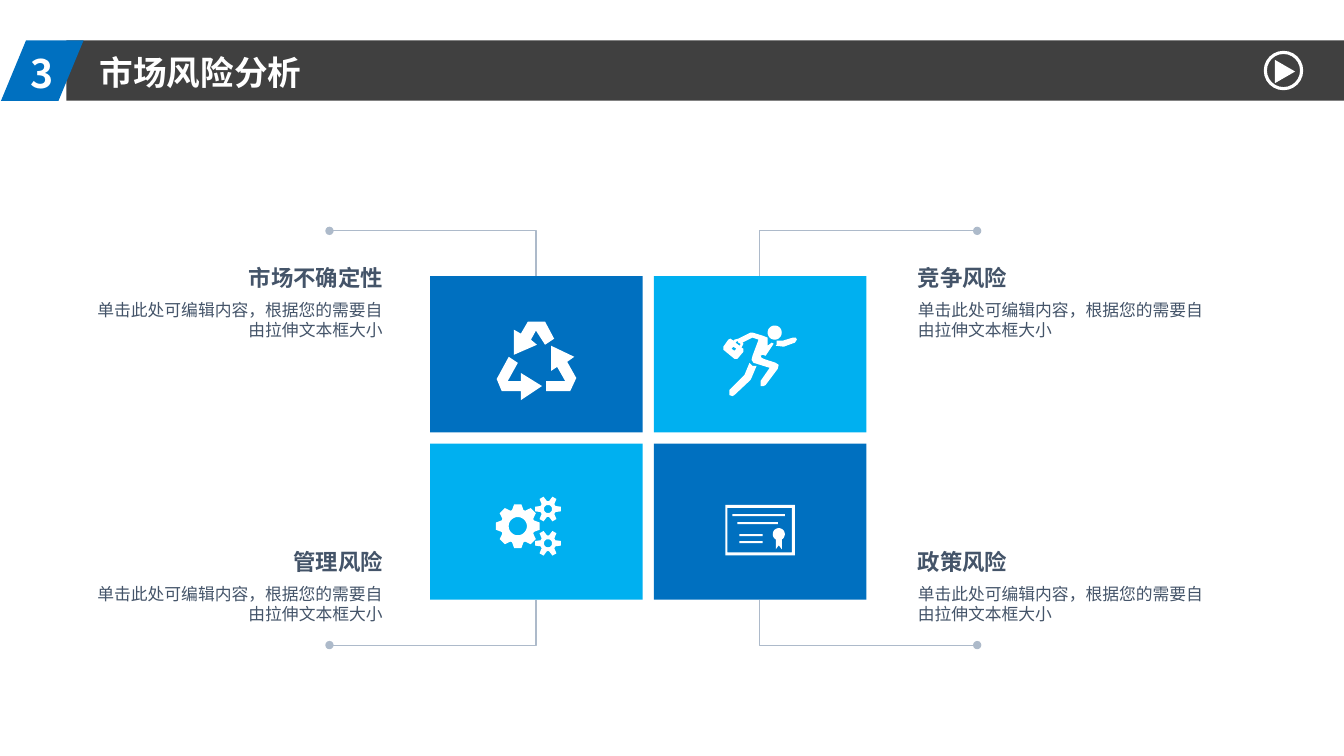
import math
import pptx
import pptx.util
import pptx.dml.color
import pptx.enum.shapes
import pptx.enum.text
import pptx.oxml
import pptx.oxml.ns

Inches = pptx.util.Inches
KIND = pptx.enum.shapes.MSO_SHAPE
ALIGN = pptx.enum.text.PP_ALIGN
WHITE, DARK, BLUE, SKY = "FFFFFF", "404040", "0070C0", "00B0F0"
INK, RULE = "445469", "ADBACA"
SANS = "Noto Sans CJK SC"
BODY = "单击此处可编辑内容，根据您的需要自由拉伸文本框大小"


def paint(form, color):
    form.solid()
    form.fore_color.rgb = pptx.dml.color.RGBColor.from_string(color)


def add_xml(parent, tag, attrs=""):
    parent.append(pptx.oxml.parse_xml(
        f'<a:{tag} {pptx.oxml.ns.nsdecls("a")} {attrs}/>'))


def add_form(slide, kind, x, y, w, h, fill=None, line=None):
    form = slide.shapes.add_shape(kind, Inches(x), Inches(y), Inches(w), Inches(h))
    form.shadow.inherit = False
    if fill:
        paint(form.fill, fill)
    else:
        form.fill.background()
    if line:
        paint(form.line.fill, line)
        form.line.width = pptx.util.Pt(2.25)
    else:
        form.line.fill.background()
    return form


def put_text(box, text, size, color, font, bold=False, align=ALIGN.LEFT, pad=(0, 0)):
    frame = box.text_frame
    frame.word_wrap = True
    frame.auto_size = pptx.enum.text.MSO_AUTO_SIZE.NONE
    frame.vertical_anchor = pptx.enum.text.MSO_ANCHOR.TOP
    frame.margin_left = frame.margin_right = Inches(pad[0])
    frame.margin_top = frame.margin_bottom = Inches(pad[1])
    frame.text = text
    para = frame.paragraphs[0]
    para.alignment = align
    para.space_before = pptx.util.Pt(0)
    para.font.size = pptx.util.Pt(size)
    para.font.bold = bold
    para.font.name = font
    paint(para.font.fill, color)
    for props in box.element.iter(pptx.oxml.ns.qn("a:defRPr")):
        add_xml(props, "ea", f'typeface="{SANS}"')


def add_text(slide, x, y, w, h, *args, **style):
    box = slide.shapes.add_textbox(Inches(x), Inches(y), Inches(w), Inches(h))
    put_text(box, *args, **style)


def add_bend(slide, x1, y1, x2, y2):
    """Line with a dot at its start, level first and then upright."""
    bend = slide.shapes.add_connector(
        pptx.enum.shapes.MSO_CONNECTOR.ELBOW,
        Inches(x1), Inches(y1), Inches(x2), Inches(y2))
    paint(bend.line.fill, RULE)
    bend.line.width = pptx.util.Pt(0.75)
    props = bend.element.spPr
    props.find(pptx.oxml.ns.qn("a:prstGeom")).set("prst", "bentConnector2")
    add_xml(bend.line._get_or_add_ln(), "headEnd", 'type="oval"')
    add_xml(props, "effectLst")


def add_icon(slide, loops):
    """One white outline from closed loops; inner loops are holes."""
    loops = [[(round(x * 1000), round(y * 1000)) for x, y in loop] for loop in loops]
    pen = slide.shapes.build_freeform(*loops[0][0], scale=914.4)
    for i, loop in enumerate(loops):
        if i:
            pen.move_to(*loop[0])
        pen.add_line_segments(loop[1:], close=True)
    icon = pen.convert_to_shape()
    icon.shadow.inherit = False
    paint(icon.fill, WHITE)
    icon.line.fill.background()


def polar(x, y, r, deg):
    turn = math.radians(deg)
    return x + r * math.cos(turn), y + r * math.sin(turn)


def arc(x, y, r, start=0, end=350):
    return [polar(x, y, r, deg) for deg in range(start, end + 1, 10)]


def rect(x1, y1, x2, y2):
    return [(x1, y1), (x2, y1), (x2, y2), (x1, y2)]


def gear(x, y, teeth, tip, root, hole):
    """Toothed wheel; tip and root are (radius, half angle)."""
    (r1, a1), (r2, a2) = tip, root
    edge = [polar(x, y, r, 360 * i / teeth + a) for i in range(teeth)
            for r, a in ((r2, -a2), (r1, -a1), (r1, a1), (r2, a2))]
    return [edge, arc(x, y, hole)]


def draw_cycle(slide):
    add_icon(slide, [
        [(5.41, 3.19), (5.24, 3.19), (5.17, 3.31), (5.1, 3.27), (5.1, 3.52), (5.33, 3.42),
         (5.27, 3.37), (5.32, 3.28), (5.41, 3.42), (5.5, 3.36)],
        [(5.17, 3.78), (5.04, 3.78), (5.14, 3.6), (5.05, 3.54), (4.93, 3.76), (4.98, 3.88),
         (5.17, 3.88), (5.17, 3.97), (5.38, 3.83), (5.17, 3.7)],
        [(5.63, 3.59), (5.7, 3.54), (5.47, 3.43), (5.47, 3.68), (5.53, 3.64), (5.61, 3.78),
         (5.42, 3.78), (5.42, 3.88), (5.66, 3.88), (5.72, 3.75)]])


def draw_runner(slide):
    hand = [(7.91, 3.37), (7.9, 3.35), (7.87, 3.35), (7.77, 3.38), (7.71, 3.38),
            (7.71, 3.42), (7.7, 3.43), (7.78, 3.44), (7.89, 3.4)]
    grip = [(7.35, 3.42), (7.34, 3.43), (7.3, 3.4), (7.32, 3.38), (7.33, 3.4), (7.35, 3.41)]
    latch = [(7.29, 3.48), (7.26, 3.46), (7.28, 3.44), (7.31, 3.46)]
    body = [(7.7, 3.6), (7.58, 3.56), (7.56, 3.55), (7.55, 3.53), (7.57, 3.52), (7.6, 3.53),
            (7.68, 3.41), (7.66, 3.4), (7.62, 3.43), (7.62, 3.35), (7.57, 3.33), (7.47, 3.3),
            (7.45, 3.3), (7.33, 3.36), (7.29, 3.37), (7.28, 3.38), (7.25, 3.36), (7.23, 3.37),
            (7.18, 3.44), (7.18, 3.47), (7.29, 3.56), (7.32, 3.56), (7.38, 3.49), (7.38, 3.46),
            (7.36, 3.45), (7.38, 3.41), (7.37, 3.4), (7.47, 3.35), (7.53, 3.37), (7.47, 3.53),
            (7.46, 3.57), (7.48, 3.6), (7.64, 3.65), (7.55, 3.78), (7.55, 3.83), (7.58, 3.83),
            (7.6, 3.82), (7.72, 3.66), (7.73, 3.62)]
    leg = [(7.44, 3.6), (7.39, 3.72), (7.24, 3.87), (7.24, 3.92), (7.27, 3.93), (7.29, 3.92),
           (7.45, 3.77), (7.46, 3.75), (7.51, 3.63), (7.47, 3.63)]
    add_icon(slide, [hand, body, grip, latch, leg, arc(7.69, 3.3, 0.07)])


def draw_gears(slide):
    loops = gear(5.14, 5.22, 8, (0.22, 9.5), (0.17, 19.5), 0.09)
    for y in (5.05, 5.39):
        loops += gear(5.44, y, 6, (0.13, 10), (0.08, 22), 0.04)
    add_icon(slide, loops)


def draw_award(slide):
    seal = arc(7.73, 5.3, 0.06, 120, 420) + [(7.76, 5.45), (7.73, 5.41), (7.7, 5.45)]
    rows = [(7.27, 7.79, 5.1), (7.32, 7.72, 5.18), (7.34, 7.57, 5.3), (7.34, 7.57, 5.37)]
    add_icon(slide, [rect(7.2, 5.01, 7.89, 5.51), rect(7.22, 5.04, 7.86, 5.48), seal]
             + [rect(x1, y, x2, y + 0.02) for x1, x2, y in rows])


def draw_head(slide):
    add_form(slide, KIND.RECTANGLE, 0.66, 0.4, 12.68, 0.6, DARK)
    tab = add_form(slide, KIND.PARALLELOGRAM, 0.01, 0.4, 0.82, 0.6, BLUE)
    tab.adjustments[0] = 0.415
    add_text(slide, 0.2, 0.44, 0.69, 0.57, "3", 28, WHITE, SANS, bold=True, pad=(0.1, 0.05))
    title = slide.shapes.title
    title.left, title.top = Inches(0.89), Inches(0.46)
    title.width, title.height = Inches(2.74), Inches(0.5)
    put_text(title, "市场风险分析", 24, WHITE, SANS, bold=True, pad=(0.1, 0.05))
    # The title lies above the bar
    tree = title.element.getparent()
    tree.remove(title.element)
    tree.append(title.element)
    # Play button
    add_form(slide, KIND.OVAL, 12.56, 0.52, 0.36, 0.36, line=WHITE)
    play = add_form(slide, KIND.ISOSCELES_TRIANGLE, 12.64, 0.61, 0.23, 0.2, WHITE)
    play.rotation = 90


def draw_risk(slide, col, row, name, fill):
    x, y = 4.27 + 2.22 * col, 2.74 + 1.66 * row
    add_form(slide, KIND.RECTANGLE, x, y, 2.11, 1.55, fill)
    # Line from the tile to its dot
    dot, level = (3.27, 9.7)[col], (2.29, 6.4)[row]
    add_bend(slide, dot, level, x + 1.05, y + 1.55 * row)
    # Heading and text beside the tile
    left, width = ((0.94, 2.86), (9.11, 2.99))[col]
    align = (ALIGN.RIGHT, ALIGN.LEFT)[col]
    top = 2.62 + 2.82 * row
    add_text(slide, left, top, width, 0.27, name, 16, INK, "Arial", bold=True, align=align)
    add_text(slide, left, top + 0.35, width, 0.4, BODY, 12, INK, "Arial", align=align)


def main():
    deck = pptx.Presentation()
    deck.slide_width, deck.slide_height = Inches(13.34), Inches(7.5)
    slide = deck.slides.add_slide(deck.slide_layouts[5])
    draw_head(slide)
    names = (("市场不确定性", "竞争风险"), ("管理风险", "政策风险"))
    for row, pair in enumerate(names):
        for col, name in enumerate(pair):
            draw_risk(slide, col, row, name, (BLUE, SKY)[(row + col) % 2])
    for draw in (draw_cycle, draw_runner, draw_gears, draw_award):
        draw(slide)
    deck.save("out.pptx")


if __name__ == "__main__":
    main()
